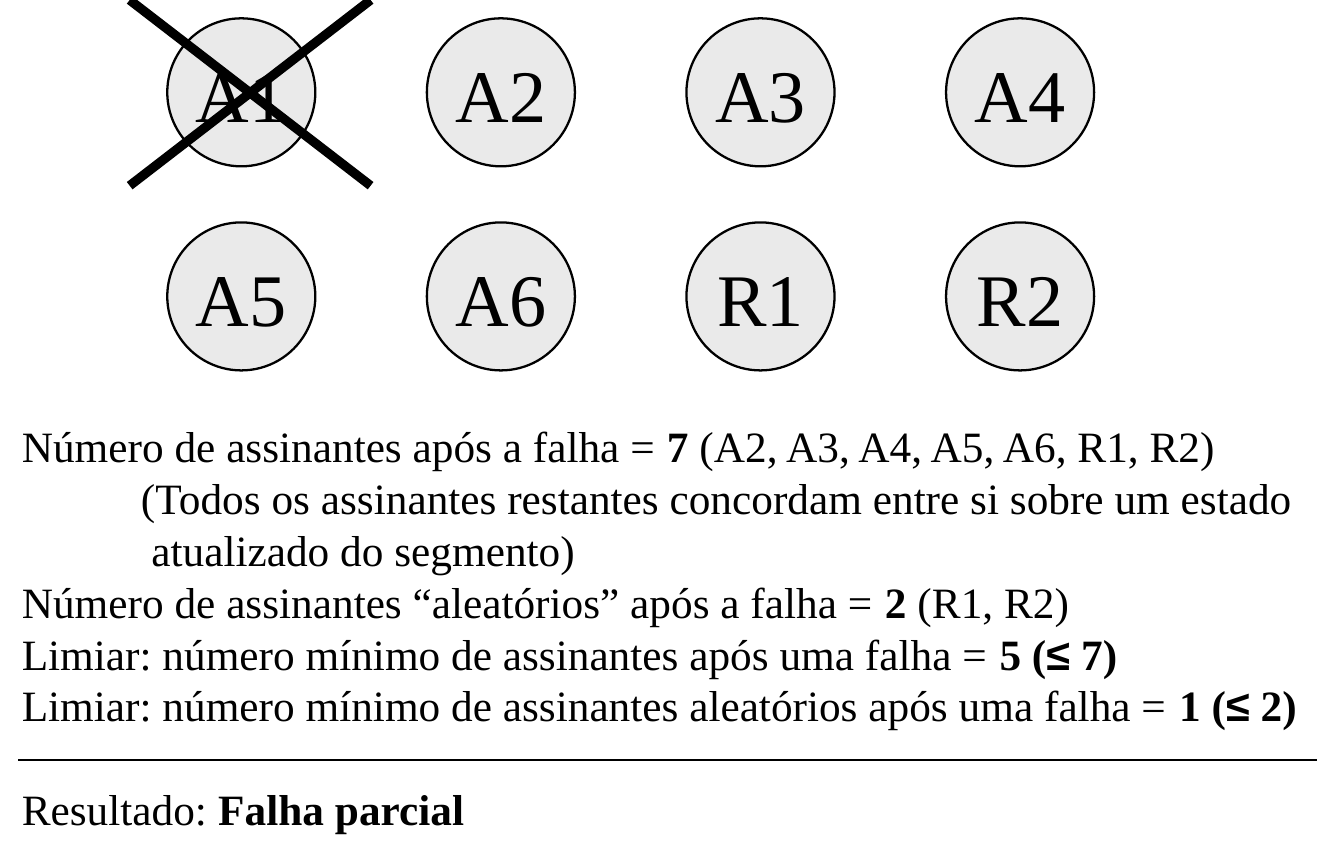
from pptx import Presentation
from pptx.dml.color import RGBColor
from pptx.enum.shapes import MSO_CONNECTOR, MSO_SHAPE
from pptx.enum.text import MSO_ANCHOR, PP_ALIGN
from pptx.oxml.ns import qn
from pptx.util import Cm, Pt
from lxml.etree import SubElement


def color(value):
    return RGBColor.from_string(value)


def add_text(p, text, size=14, bold=False, font="Times New Roman"):
    r = p.add_run()
    r.text = text
    r.font.size = Pt(size)
    r.font.bold = bold
    r.font.name = font
    r.font.color.rgb = color("000000")


prs = Presentation()
prs.slide_width, prs.slide_height = Cm(15.34), Cm(9.83)
s = prs.slides.add_slide(prs.slide_layouts[6])

# Subscribers: two rows of four
subscribers = [["A1", "A2", "A3", "A4"], ["A5", "A6", "R1", "R2"]]
for row, names in enumerate(subscribers):
    for col, name in enumerate(names):
        sp = s.shapes.add_shape(MSO_SHAPE.OVAL, Cm(1.91 + 2.963 * col),
                                Cm(0.21 + 2.33 * row), Cm(1.69), Cm(1.69))
        sp.shadow.inherit = False
        sp.fill.solid()
        sp.fill.fore_color.rgb = color("EAEAEA")
        sp.line.color.rgb = color("000000")
        sp.line.width = Pt(0.75)
        tf = sp.text_frame
        tf.word_wrap = False
        tf.vertical_anchor = MSO_ANCHOR.MIDDLE
        p = tf.paragraphs[0]
        p.alignment = PP_ALIGN.CENTER
        add_text(p, name, size=24)

# Findings: left indent (cm), space before (pt), runs with their format
bold = {"bold": True}
symbol = {"bold": True, "font": "Arial"}
findings = [
    (0, 0, [("Número de assinantes após a falha = ", {}), ("7", bold),
            (" (A2, A3, A4, A5, A6, R1, R2)", {})]),
    (1.36, 0, [("(Todos os assinantes restantes concordam entre si sobre um estado", {})]),
    (1.48, 0, [("atualizado do segmento)", {})]),
    (0, 0, [("Número de assinantes “aleatórios” após a falha = ", {}), ("2", bold),
            (" (R1, R2)", {})]),
    (0, 0, [("Limiar: número mínimo de assinantes após uma falha = ", {}),
            ("5 (", bold), ("≤", symbol), (" 7)", bold)]),
    (0, 0, [("Limiar: número mínimo de assinantes aleatórios após uma falha = ", {}),
            ("1 (", bold), ("≤", symbol), (" 2)", bold)]),
    (0, 16.8, [("Resultado: ", {}), ("Falha parcial", bold)]),
]
tf = s.shapes.add_textbox(Cm(0), Cm(4.66), Cm(15.3), Cm(5)).text_frame
tf.word_wrap = True
for i, (indent, before, runs) in enumerate(findings):
    p = tf.add_paragraph() if i else tf.paragraphs[0]
    p.line_spacing = Pt(16.8)
    if before:
        p.space_before = Pt(before)
    if indent:
        p._p.get_or_add_pPr().set("marL", str(Cm(indent)))
    for text, style in runs:
        add_text(p, text, **style)

# Rule above the result, and the cross over the failed subscriber
lines = [(0.21, 8.68, 15.03, 8.68, 0.75),
         (1.48, 0, 4.23, 2.12, 3),
         (4.23, 0, 1.48, 2.12, 3)]
for x1, y1, x2, y2, width in lines:
    line = s.shapes.add_connector(MSO_CONNECTOR.STRAIGHT, Cm(x1), Cm(y1), Cm(x2), Cm(y2))
    line.line.color.rgb = color("000000")
    line.line.width = Pt(width)
    SubElement(line._element.spPr, qn("a:effectLst"))

prs.save("out.pptx")
